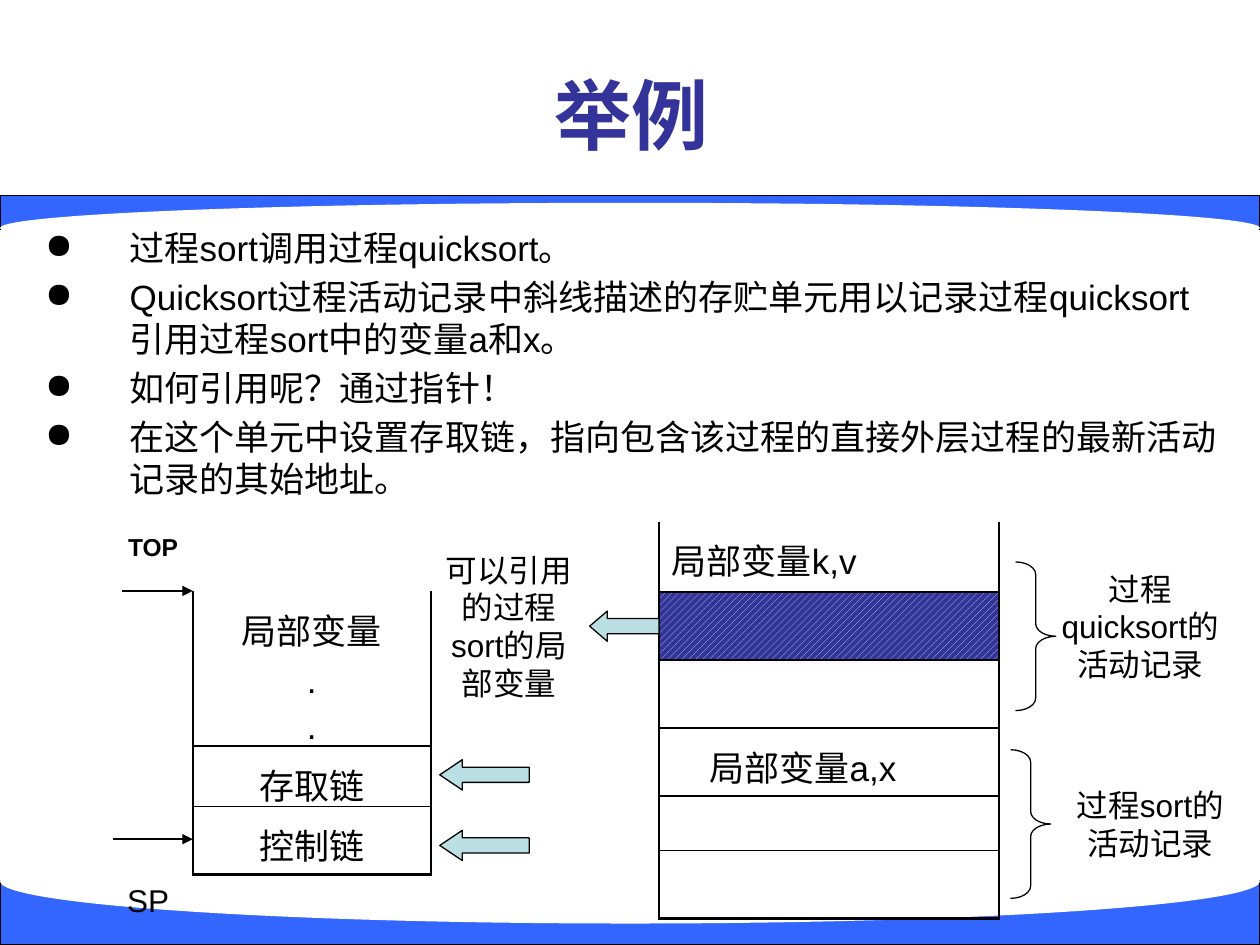
from lxml.etree import SubElement
from pptx import Presentation
from pptx.dml.color import RGBColor
from pptx.enum.dml import MSO_PATTERN
from pptx.enum.shapes import MSO_CONNECTOR, MSO_SHAPE
from pptx.enum.text import MSO_ANCHOR, PP_ALIGN
from pptx.oxml.ns import qn
from pptx.util import Emu, Pt

SCALE = 9144  # 100 px to the inch
BLACK, WHITE, BLUE = "000000", "FFFFFF", "3366FF"
NAVY, TEAL = "333399", "BBE0E3"
CJK = "Noto Sans CJK SC"

BODY = [
    "过程sort调用过程quicksort。",
    "Quicksort过程活动记录中斜线描述的存贮单元用以记录过程quicksort 引用过程sort中的变量a和x。",
    "如何引用呢？通过指针！",
    "在这个单元中设置存取链，指向包含该过程的直接外层过程的最新活动记录的其始地址。",
]


def px(*vals):
    return [Emu(v * SCALE) for v in vals]


def color(code):
    return RGBColor.from_string(code)


def add_bullet(para):
    props = para._p.get_or_add_pPr()
    indent = px(67)[0]
    props.set("marL", str(indent))
    props.set("indent", str(-indent))
    SubElement(props, qn("a:buChar")).set("char", "●")


def write(frame, lines, size=20, font="Arial", ink=BLACK, bold=False,
          align=PP_ALIGN.LEFT, gap=4, bullet=False):
    for i, line in enumerate(lines):
        para = frame.add_paragraph() if i else frame.paragraphs[0]
        para.alignment = align
        if i:
            para.space_before = Pt(gap)
        if bullet:
            add_bullet(para)
        run = para.add_run()
        run.text = line
        run.font.size = Pt(size)
        run.font.bold = bold
        run.font.color.rgb = color(ink)
        run.font.name = font
        if font == CJK:
            SubElement(run._r.get_or_add_rPr(), qn("a:ea")).set("typeface", font)


def add_text(slide, box, lines, anchor=MSO_ANCHOR.MIDDLE, **style):
    frame = slide.shapes.add_textbox(*px(*box)).text_frame
    frame.word_wrap = True
    frame.vertical_anchor = anchor
    write(frame, lines, **style)


def add_label(slide, box, text, size=18, bold=False):
    add_text(slide, box, [text], size=size, bold=bold, align=PP_ALIGN.CENTER)


def add_shape(slide, kind, box, fill=None, line=BLACK, adjust=()):
    shape = slide.shapes.add_shape(kind, *px(*box))
    shape.shadow.inherit = False
    if fill:
        shape.fill.solid()
        shape.fill.fore_color.rgb = color(fill)
    else:
        shape.fill.background()
    if line:
        shape.line.color.rgb = color(line)
        shape.line.width = Pt(0.75)
    else:
        shape.line.fill.background()
    for i, val in enumerate(adjust):
        shape.adjustments[i] = val


def add_band(slide, rect, oval):
    """Draw a blue strip whose inner edge is cut by a white oval."""
    add_shape(slide, MSO_SHAPE.RECTANGLE, rect, BLUE)
    add_shape(slide, MSO_SHAPE.OVAL, oval, WHITE, None)


def add_arrow(slide, box, head):
    add_shape(slide, MSO_SHAPE.LEFT_ARROW, box, TEAL, adjust=(0.5, head))


def add_brace(slide, left, top):
    add_shape(slide, MSO_SHAPE.RIGHT_BRACE, (left, top, 32, 118),
              adjust=(0.311, 0.5))


def add_pointer(slide, left, right, y):
    link = slide.shapes.add_connector(MSO_CONNECTOR.STRAIGHT,
                                      *px(left, y, right, y))
    link.line.color.rgb = color(BLACK)
    link.line.width = Pt(0.75)
    SubElement(link.line._get_or_add_ln(), qn("a:tailEnd")).set("type", "triangle")
    SubElement(link._element.spPr, qn("a:effectLst"))


def set_edges(cell, top, bottom):
    props = cell._tc.get_or_add_tcPr()
    for side, width in (("L", 1), ("R", 1), ("T", top), ("B", bottom)):
        edge = SubElement(props, qn(f"a:ln{side}"), w=str(Pt(width)))
        if width:
            fill = SubElement(edge, qn("a:solidFill"))
            SubElement(fill, qn("a:srgbClr")).set("val", BLACK)
        else:
            SubElement(edge, qn("a:noFill"))


def add_stack(slide, left, top, width, rows, align=PP_ALIGN.LEFT):
    """Add a one-column table, open at the top; rows hold (height, lines, inset)."""
    total = sum(row[0] for row in rows)
    table = slide.shapes.add_table(len(rows), 1,
                                   *px(left, top, width, total)).table
    table.first_row = table.horz_banding = False
    last = len(rows) - 1
    for i, (height, lines, inset) in enumerate(rows):
        table.rows[i].height = px(height)[0]
        cell = table.cell(i, 0)
        set_edges(cell, 1 if i else 0, 2.25 if i == last else 1)
        cell.fill.background()
        if lines:
            cell.margin_left, cell.margin_top, cell.margin_bottom = px(inset, 10, 2)
            write(cell.text_frame, lines, align=align)
    return table


def add_records(slide):
    table = add_stack(slide, 523, 414, 270, [
        (56, ["局部变量k,v"], 10), (54, [], 10), (54, [], 10),
        (54, ["局部变量a,x"], 40), (43, [], 10), (54, [], 10)])
    fill = table.cell(1, 0).fill
    fill.patterned()
    fill.pattern = MSO_PATTERN.WIDE_UPWARD_DIAGONAL
    fill.fore_color.rgb = color(TEAL)
    fill.back_color.rgb = color(NAVY)
    add_arrow(slide, (468, 485, 55, 24), 0.583)
    add_label(slide, (341, 438, 126, 118), "可以引用的过程sort的局部变量")
    add_brace(slide, 806, 446)
    add_label(slide, (826, 438, 158, 118), "过程quicksort的活动记录")
    add_brace(slide, 802, 595)
    add_label(slide, (842, 595, 142, 118), "过程sort的活动记录")


def add_frame(slide):
    """Draw the stack frame with its TOP and SP pointers."""
    add_stack(slide, 153, 469, 189, [
        (123, ["局部变量", ".", "."], 10),
        (48, ["存取链"], 10), (54, ["控制链"], 10)], PP_ALIGN.CENTER)
    add_label(slide, (90, 414, 63, 39), "TOP", size=14, bold=True)
    add_label(slide, (90, 698, 55, 32), "SP")
    add_pointer(slide, 90, 153, 666)
    add_pointer(slide, 97, 153, 469)
    for top in (603, 659):
        add_arrow(slide, (349, top, 71, 24), 0.745)


def main():
    deck = Presentation()
    deck.slide_width, deck.slide_height = px(1000, 750)
    slide = deck.slides.add_slide(deck.slide_layouts[6])
    add_band(slide, (0, 155, 1000, 27), (0, 161, 1000, 40))
    add_band(slide, (0, 699, 1000, 51), (0, 666, 1000, 67))
    add_text(slide, (51, 28, 900, 125), ["举例"], size=44, font=CJK,
             ink=NAVY, bold=True, align=PP_ALIGN.CENTER)
    add_text(slide, (26, 175, 958, 257), BODY, MSO_ANCHOR.TOP, bullet=True)
    add_records(slide)
    add_frame(slide)
    deck.save("out.pptx")


if __name__ == "__main__":
    main()
